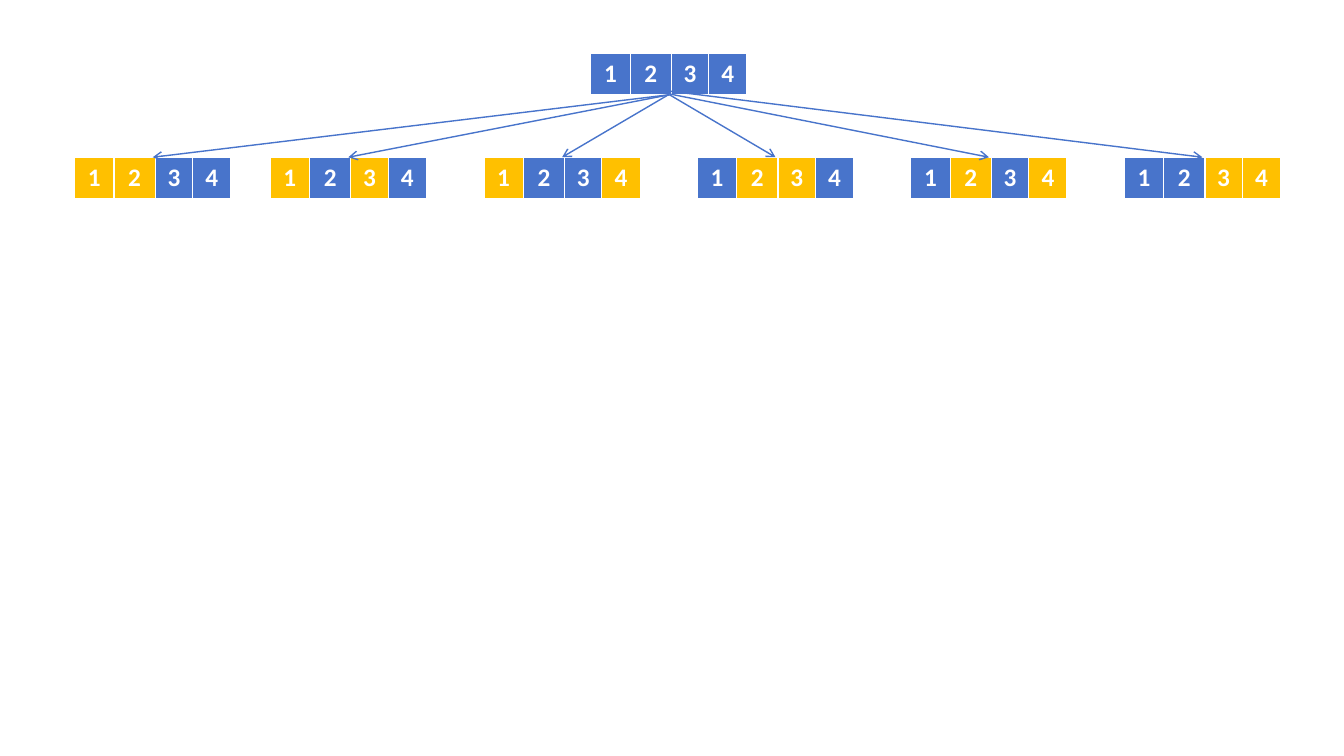
from itertools import combinations

from lxml import etree
from pptx import Presentation
from pptx import util as u
from pptx.dml.color import RGBColor
from pptx.enum import shapes, text
from pptx.oxml import ns

BLUE = RGBColor(0x48, 0x74, 0xCB)
GOLD = RGBColor(0xFF, 0xC0, 0x00)
WHITE = RGBColor(0xFF, 0xFF, 0xFF)

ITEMS = (1, 2, 3, 4)
ITEM_WIDTHS = (0.39, 0.41, 0.37, 0.38)
ROW_WIDTH, ROW_HEIGHT = sum(ITEM_WIDTHS), 0.42
ROOT_LEFT, ROOT_TOP = 5.86, 0.53
PAIR_TOP = 1.56
PAIR_LEFTS = [0.74, 2.68] + [4.8 + 2.117 * step for step in range(4)]
ARROW_STARTS = [(6.64, 0.94)] * 2 + [(6.63, 0.94), (6.64, 0.94), (6.63, 0.93), (6.61, 0.9)]


def add_borders(cell):
    """Draw white borders round a cell, with a heavier bottom edge."""
    properties = cell._tc.get_or_add_tcPr()
    for place, (side, points) in enumerate((("L", 1), ("R", 1), ("T", 1), ("B", 3))):
        border = etree.Element(ns.qn(f"a:ln{side}"), w=str(u.Pt(points)))
        fill = etree.SubElement(border, ns.qn("a:solidFill"))
        etree.SubElement(fill, ns.qn("a:srgbClr"), val=str(WHITE))
        properties.insert(place, border)


def add_item_row(slide, left, top, chosen=()):
    """Place the numbered items in one row, with the chosen ones in gold."""
    frame = slide.shapes.add_table(1, len(ITEMS), u.Inches(left), u.Inches(top),
                                   u.Inches(ROW_WIDTH), u.Inches(ROW_HEIGHT))
    row = frame.table
    row.first_row = row.horz_banding = False
    for column, (item, width) in enumerate(zip(ITEMS, ITEM_WIDTHS)):
        row.columns[column].width = u.Inches(width)
        cell = row.cell(0, column)
        cell.fill.solid()
        cell.fill.fore_color.rgb = GOLD if item in chosen else BLUE
        add_borders(cell)
        paragraph = cell.text_frame.paragraphs[0]
        paragraph.alignment = text.PP_ALIGN.CENTER
        number = paragraph.add_run()
        number.text = str(item)
        number.font.name = "Calibri"
        number.font.size = u.Pt(18)
        number.font.bold = True
        number.font.color.rgb = WHITE


def add_arrow(slide, start, end):
    """Draw a thin blue arrow from start to end."""
    ends = [u.Inches(length) for length in (*start, *end)]
    arrow = slide.shapes.add_connector(shapes.MSO_CONNECTOR.STRAIGHT, *ends)
    arrow.line.color.rgb = BLUE
    arrow.line.width = u.Pt(1)
    etree.SubElement(arrow.line._get_or_add_ln(), ns.qn("a:tailEnd"), type="arrow")
    etree.SubElement(arrow._element.spPr, ns.qn("a:effectLst"))


def add_pair_tree(slide):
    """Lay out the full set above all its two-item choices."""
    add_item_row(slide, ROOT_LEFT, ROOT_TOP)
    for left, pair in zip(PAIR_LEFTS, combinations(ITEMS, 2)):
        add_item_row(slide, left, PAIR_TOP, pair)
    for start, left in zip(ARROW_STARTS, PAIR_LEFTS):
        add_arrow(slide, start, (left + ROW_WIDTH / 2, PAIR_TOP))


def main():
    """Build the slide and save it."""
    deck = Presentation()
    deck.slide_width, deck.slide_height = u.Inches(13.33), u.Inches(7.5)
    add_pair_tree(deck.slides.add_slide(deck.slide_layouts[6]))
    deck.save("out.pptx")


if __name__ == "__main__":
    main()
